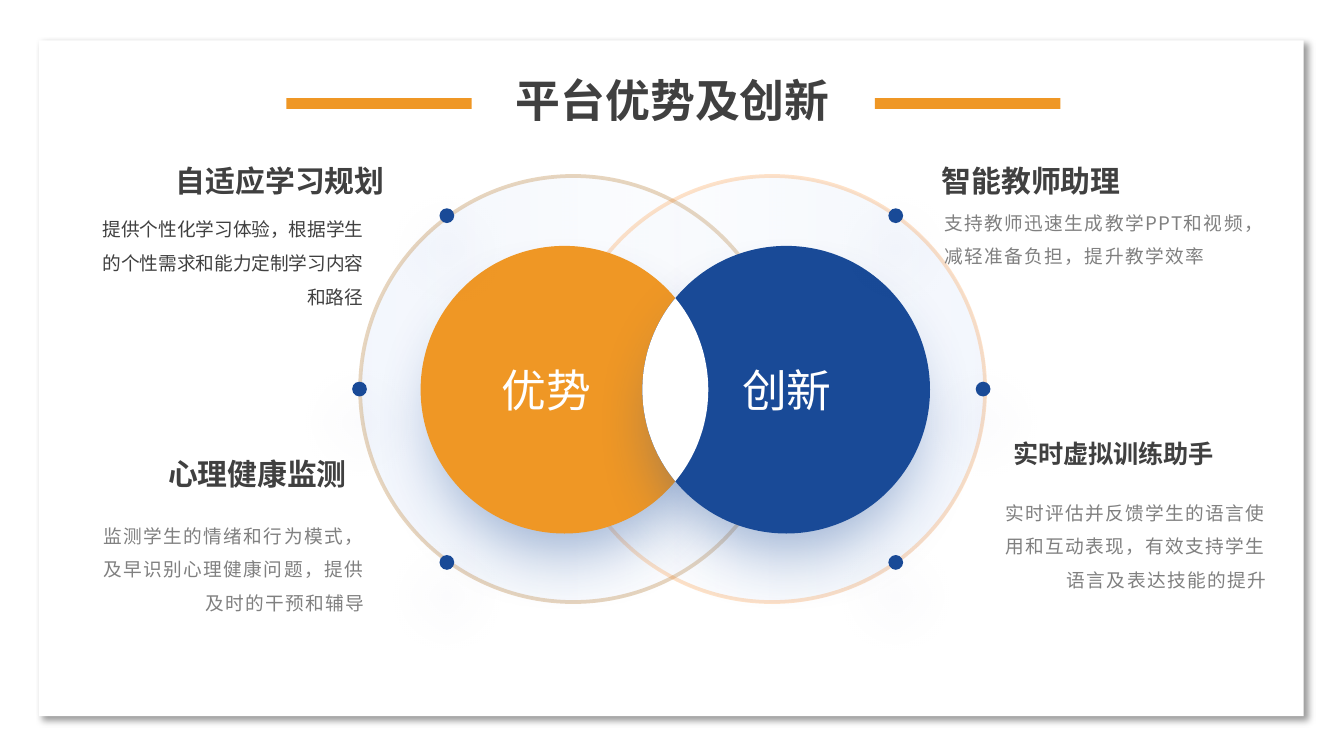
"""Build the slide on the platform's strengths and innovations."""
from math import acos, cos, pi, sin

from lxml.etree import SubElement
from pptx import Presentation
from pptx.dml.color import RGBColor as RGB
from pptx.enum.shapes import MSO_SHAPE as SHAPE
from pptx.enum.text import MSO_ANCHOR as ANCHOR, MSO_AUTO_SIZE as SIZE, PP_ALIGN as ALIGN
from pptx.oxml import parse_xml
from pptx.oxml.ns import nsdecls, qn
from pptx.util import Inches, Pt

FONT = "Noto Sans CJK SC"
WHITE = RGB(0xFF, 0xFF, 0xFF)
DARK = RGB(0x40, 0x40, 0x40)
GRAY = RGB(0x80, 0x80, 0x80)
ORANGE = RGB(0xEF, 0x97, 0x25)
BLUE = RGB(0x19, 0x4A, 0x97)
MIST = RGB(0xC6, 0xD8, 0xF6)
TAN = RGB(0xD8, 0xBA, 0x94)
FLAME = RGB(0xFE, 0x7D, 0x0A)
BLACK = RGB(0, 0, 0)
GLOW = (BLUE, 34, 18, 90, 100)


def add_text(text, x, y, w, h, size=10, color=GRAY, bold=False, align=ALIGN.RIGHT,
             lead=None, track=None, wrap=True, box=None):
    box = box or slide.shapes.add_textbox(0, 0, 0, 0)
    box.left, box.top, box.width, box.height = map(Inches, (x, y, w, h))
    frame = box.text_frame
    frame.word_wrap = wrap
    frame.auto_size = SIZE.NONE
    frame.vertical_anchor = ANCHOR.TOP
    para = frame.paragraphs[0]
    para.alignment = align
    para.line_spacing = lead
    run = para.add_run()
    run.text = text
    font = run.font
    font.name, font.size, font.bold = FONT, Pt(size), bold
    font.color.rgb = color
    props = run._r.get_or_add_rPr()
    SubElement(props, qn("a:ea")).set("typeface", FONT)
    if track:
        props.set("spc", str(round(track * 100)))


def add_form(kind, x, y, w, h, color, glow=None):
    form = slide.shapes.add_shape(kind, *map(Inches, (x, y, w, h)))
    form.shadow.inherit = False
    form.fill.solid()
    form.fill.fore_color.rgb = color
    form.line.fill.background()
    if glow:
        tint, blur, dist, turn, scale = glow
        if w > 1 and tint == BLUE:
            scale = 90
        form._element.spPr.find(qn("a:effectLst")).append(parse_xml(
            f'<a:outerShdw {nsdecls("a")} blurRad="{Pt(blur)}" dist="{Pt(dist)}" '
            f'dir="{turn * 60000}" sx="{scale * 1000}" sy="{scale * 1000}" algn="ctr" '
            f'rotWithShape="0"><a:srgbClr val="{tint}">'
            '<a:alpha val="40000"/></a:srgbClr></a:outerShdw>'))
    return form


deck = Presentation()
deck.slide_width, deck.slide_height = Inches(10), Inches(10) * 9 // 16
slide = deck.slides.add_slide(deck.slide_layouts[5])

card = add_form(SHAPE.RECTANGLE, 0.29, 0.3, 9.41, 5.03, WHITE, (BLACK, 4, 3, 45, 100))
slide.shapes._spTree.insert(2, card._element)

add_text("平台优势及创新", 3.68, 0.49, 2.65, 0.5, size=24, color=DARK, bold=True,
         align=ALIGN.CENTER, box=slide.shapes.title)
for x in (2.13, 6.51):
    add_form(SHAPE.RECTANGLE, x, 0.73, 1.38, 0.08, ORANGE)

for x, color, alpha, fades in ((2.68, TAN, 60, (21, 0)), (4.16, FLAME, 22, (0, 21))):
    ring = add_form(SHAPE.OVAL, x, 1.31, 3.17, 3.17, MIST)
    ring.fill.gradient()
    ring.fill.gradient_angle = 0
    for stop in ring.fill.gradient_stops:
        stop.color.rgb = MIST
    ring.line.color.rgb = color
    ring.line.width = Pt(2)
    tints = ring._element.spPr.iter(qn("a:srgbClr"))
    for tint, part in zip(list(tints), (*fades, alpha)):
        SubElement(tint, qn("a:alpha")).set("val", str(part * 1000))

LEFT, RIGHT, MID, RAD = 4.2, 5.85, 2.9, 1.07
for mid, color in ((LEFT, ORANGE), (RIGHT, BLUE)):
    add_form(SHAPE.OVAL, mid - RAD, MID - RAD, 2 * RAD, 2 * RAD, color, GLOW)

half = acos((RIGHT - LEFT) / 2 / RAD)
steps = 40
dots = []
for mid, start in ((LEFT, -half), (RIGHT, pi - half)):
    for i in range(steps + 1):
        turn = start + 2 * half * i / steps
        dots.append((Inches(mid + RAD * cos(turn)), Inches(MID + RAD * sin(turn))))
pen = slide.shapes.build_freeform(*dots[0])
pen.add_line_segments(dots[1:], close=True)
lens = pen.convert_to_shape()
lens.shadow.inherit = False
lens.fill.solid()
lens.fill.fore_color.rgb = WHITE
lens.line.fill.background()

for x, y in ((6.61, 1.55), (6.61, 4.13), (7.26, 2.84),
             (3.27, 1.55), (3.27, 4.13), (2.62, 2.84)):
    add_form(SHAPE.OVAL, x, y, 0.11, 0.11, BLUE, GLOW)

for text, x in (("优势", 3.63), ("创新", 5.42)):
    add_text(text, x, 2.65, 0.87, 0.5, size=24, color=WHITE, align=ALIGN.CENTER, wrap=False)

for text, x, y, w, h, size, align in (
        ("自适应学习规划", 1.06, 1.16, 1.9, 0.37, 16, ALIGN.RIGHT),
        ("心理健康监测", 0.71, 3.34, 1.97, 0.37, 16, ALIGN.RIGHT),
        ("智能教师助理", 6.91, 1.16, 1.7, 0.37, 16, ALIGN.LEFT),
        ("实时虚拟训练助手", 7.37, 3.21, 1.76, 0.33, 13.5, ALIGN.RIGHT)):
    add_text(text, x, y, w, h, size=size, color=DARK, bold=True, align=align)

for text, x, y, w, h, color, align, track in (
        ("提供个性化学习体验，根据学生的个性需求和能力定制学习内容和路径",
         0.65, 1.49, 2.15, 0.86, DARK, ALIGN.RIGHT, None),
        ("监测学生的情绪和行为模式，及早识别心理健康问题，提供及时的干预和辅导",
         0.6, 3.77, 2.21, 0.86, GRAY, ALIGN.RIGHT, 0.8),
        ("支持教师迅速生成教学PPT和视频，减轻准备负担，提升教学效率",
         6.93, 1.44, 2.53, 0.6, GRAY, ALIGN.LEFT, 0.8),
        ("实时评估并反馈学生的语言使用和互动表现，有效支持学生语言及表达技能的提升",
         7.26, 3.6, 2.26, 0.86, GRAY, ALIGN.RIGHT, 0.8)):
    add_text(text, x, y, w, h, color=color, align=align, lead=1.5, track=track)

deck.save("out.pptx")
